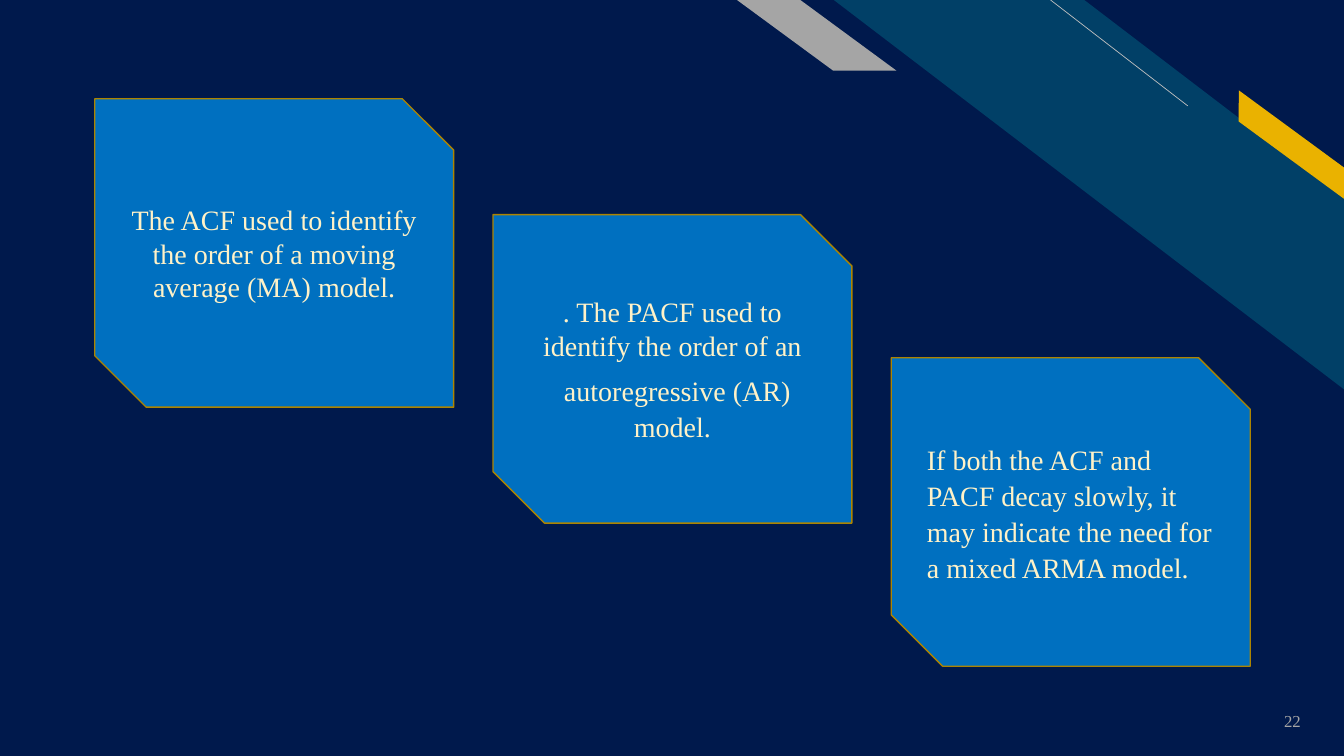
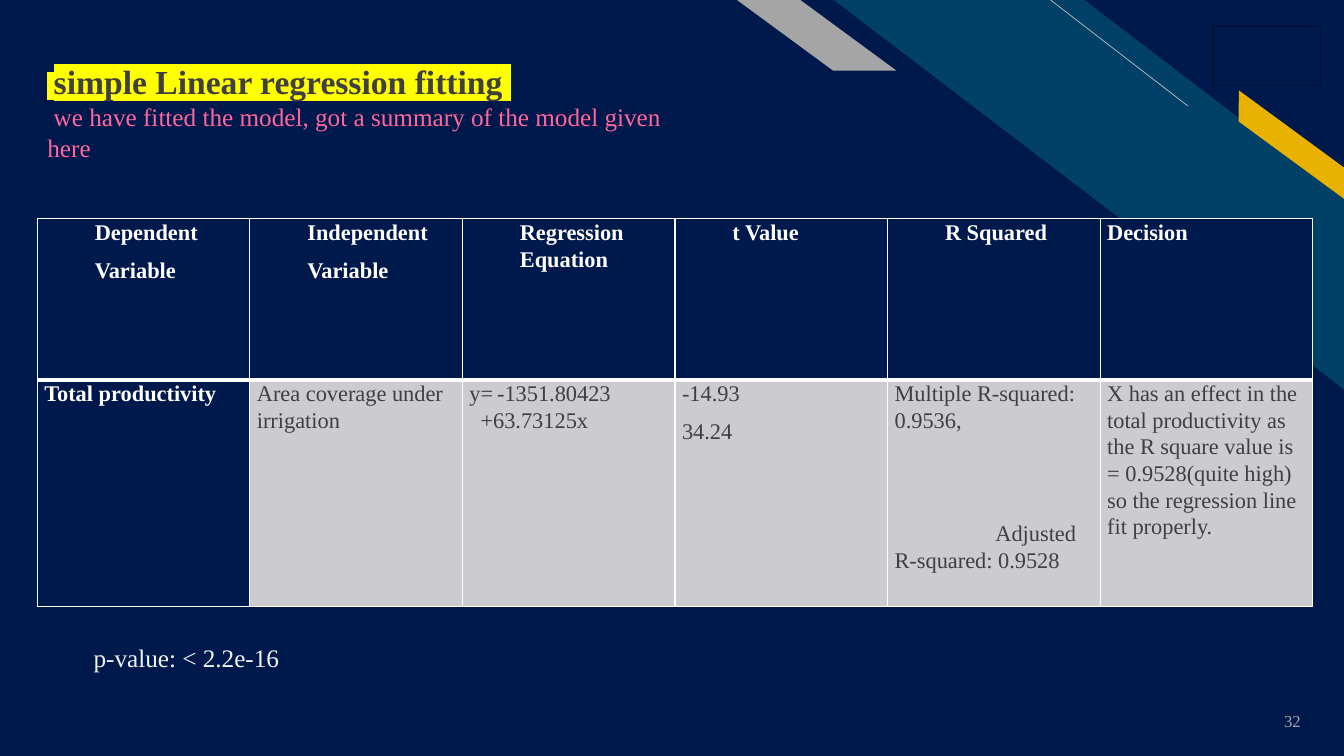
from dataclasses import dataclass
from typing import Optional, Sequence

import lxml.etree
import pptx
import pptx.dml.color
import pptx.enum.shapes
import pptx.enum.text
import pptx.oxml.ns
import pptx.shapes.autoshape
import pptx.slide
import pptx.table
import pptx.text.text
import pptx.util

Inches = pptx.util.Inches
Pt = pptx.util.Pt
RGBColor = pptx.dml.color.RGBColor
Shape = pptx.enum.shapes.MSO_SHAPE
Align = pptx.enum.text.PP_ALIGN
Anchor = pptx.enum.text.MSO_ANCHOR
qn = pptx.oxml.ns.qn

NAVY = RGBColor(0x00, 0x19, 0x4C)
DARK_NAVY = RGBColor(0x00, 0x12, 0x38)
TEAL = RGBColor(0x01, 0x40, 0x67)
GOLD = RGBColor(0xEA, 0xB2, 0x00)
DARK_GOLD = RGBColor(0xAD, 0x84, 0x00)
GRAY = RGBColor(0xA5, 0xA5, 0xA5)
SILVER = RGBColor(0xBF, 0xBF, 0xBF)
PALE_GRAY = RGBColor(0xCC, 0xCC, 0xD0)
CHARCOAL = RGBColor(0x3F, 0x3F, 0x3F)
BLUE = RGBColor(0x00, 0x70, 0xC0)
CREAM = RGBColor(0xFF, 0xF2, 0xC8)
PINK = RGBColor(0xFF, 0x66, 0x99)
YELLOW = RGBColor(0xFF, 0xFF, 0x00)
OFF_WHITE = RGBColor(0xF2, 0xF2, 0xF2)
WHITE = RGBColor(0xFF, 0xFF, 0xFF)

SERIF = "Times New Roman"
CARD_LEFT, CARD_STEP = 0.94, 3.95
CARD_WIDTH, CARD_HEIGHT = 3.56, 3.06


@dataclass(frozen=True)
class Box:
    left: float
    top: float
    width: float
    height: float

    def lengths(self) -> tuple[int, int, int, int]:
        return (Inches(self.left), Inches(self.top), Inches(self.width), Inches(self.height))


@dataclass(frozen=True)
class Run:
    text: str
    size: float
    color: RGBColor
    bold: bool = False
    highlight: Optional[RGBColor] = None


@dataclass(frozen=True)
class Paragraph:
    runs: Sequence[Run]
    align: Align = Align.LEFT
    spacing: float = 1.0
    before: float = 0
    after: float = 0
    margin: float = 0
    indent: float = 0


@dataclass(frozen=True)
class Band:
    preset: Shape
    box: Box
    color: RGBColor
    adjustment: float
    rotation: float = 0


@dataclass(frozen=True)
class Card:
    top: float
    paragraphs: Sequence[Paragraph]


@dataclass(frozen=True)
class Entry:
    paragraphs: Sequence[Paragraph]
    fill: RGBColor


BANDS = [
    Band(Shape.DIAGONAL_STRIPE, Box(8.27, 0, 5.07, 3.87), TEAL, 0.51),
    Band(Shape.PARALLELOGRAM, Box(12.07, 1.31, 1.48, 0.25), GOLD, 0.72, 36.3),
    Band(Shape.PARALLELOGRAM, Box(7.31, 0, 1.58, 0.7), GRAY, 1.36),
]


def card_run(text: str, size: float = 20) -> Run:
    return Run(text, size, CREAM)


CARDS = [
    Card(0.98, [Paragraph([card_run(
        "The ACF used to identify the order of a moving average (MA) model.")], Align.CENTER)]),
    Card(2.13, [
        Paragraph([card_run(". The PACF used to identify the order of an")], Align.CENTER),
        Paragraph([card_run(" ", 28), card_run("autoregressive (AR) model.")], Align.CENTER),
    ]),
    Card(3.55, [Paragraph([card_run(
        "If both the ACF and PACF decay slowly, it may indicate the need for a mixed ARMA model.")],
        spacing=1.07, after=8)]),
]


def heading(*lines: str, margin: float = 0) -> Entry:
    return Entry([Paragraph([Run(line, 16, WHITE, True)], spacing=1.07, after=8, margin=margin)
                  for line in lines], NAVY)


def value_line(*texts: str, before: float = 0, margin: float = 0, indent: float = 0) -> Paragraph:
    runs = [Run(text, 11 if text == " " else 16, CHARCOAL) for text in texts]
    return Paragraph(runs, spacing=1.07, before=before, after=8, margin=margin, indent=indent)


def values(*lines: Paragraph) -> Entry:
    return Entry(lines, PALE_GRAY)


REGRESSION = [
    [
        heading("Dependent", "Variable", margin=0.5),
        heading("Independent", "Variable", margin=0.5),
        heading("Regression Equation", margin=0.5),
        heading("t Value", margin=0.5),
        heading("R Squared", margin=0.5),
        heading("Decision"),
    ],
    [
        heading("Total productivity"),
        values(value_line("Area coverage under irrigation")),
        values(value_line("y=", " ", "-1351.80423 +63.73125x", margin=0.11, indent=-0.11)),
        values(value_line("-14.93"), value_line("34.24")),
        values(value_line("Multiple R-squared: 0.9536,"),
               value_line("Adjusted R-squared: 0.9528", before=54, indent=1)),
        values(value_line("X has an effect in the total productivity as the R square value is "
                          "= 0.9528(quite high) so the regression line fit properly.")),
    ],
]


def add_color(parent: lxml.etree._Element, color: RGBColor) -> None:
    lxml.etree.SubElement(parent, qn("a:srgbClr")).set("val", str(color))


def write(frame: pptx.text.text.TextFrame, paragraphs: Sequence[Paragraph],
          anchor: Anchor = Anchor.TOP) -> None:
    frame.word_wrap = True
    frame.auto_size = pptx.enum.text.MSO_AUTO_SIZE.NONE
    frame.vertical_anchor = anchor
    for index, content in enumerate(paragraphs):
        line = frame.add_paragraph() if index else frame.paragraphs[0]
        properties = line._p.get_or_add_pPr()
        properties.set("marL", str(Inches(content.margin)))
        properties.set("indent", str(Inches(content.indent)))
        lxml.etree.SubElement(properties, qn("a:buNone"))
        line.alignment = content.align
        line.line_spacing = content.spacing
        line.space_before = Pt(content.before)
        line.space_after = Pt(content.after)
        for part in content.runs:
            run = line.add_run()
            run.text = part.text
            run.font.size = Pt(part.size)
            run.font.bold = part.bold
            run.font.color.rgb = part.color
            run.font.name = SERIF
            if part.highlight is not None:
                highlight = lxml.etree.Element(qn("a:highlight"))
                add_color(highlight, part.highlight)
                run._r.rPr.find(qn("a:latin")).addprevious(highlight)


def add_label(slide: pptx.slide.Slide, box: Box, paragraph: Paragraph,
              anchor: Anchor = Anchor.TOP) -> None:
    label = slide.shapes.add_textbox(*box.lengths())
    write(label.text_frame, [paragraph], anchor)


def add_panel(slide: pptx.slide.Slide, preset: Shape, box: Box, fill: RGBColor,
              outline: Optional[RGBColor] = None) -> pptx.shapes.autoshape.Shape:
    panel = slide.shapes.add_shape(preset, *box.lengths())
    panel.shadow.inherit = False
    panel.fill.solid()
    panel.fill.fore_color.rgb = fill
    if outline is None:
        panel.line.fill.background()
    else:
        panel.line.color.rgb = outline
        panel.line.width = Pt(1)
    return panel


def add_decoration(slide: pptx.slide.Slide, number: str) -> None:
    for band in BANDS:
        stripe = add_panel(slide, band.preset, band.box, band.color)
        stripe.adjustments[0] = band.adjustment
        stripe.rotation = band.rotation
        stripe._element.spPr.find(qn("a:xfrm")).set("flipH", "1")
    hairline = slide.shapes.add_connector(
        pptx.enum.shapes.MSO_CONNECTOR.STRAIGHT,
        Inches(11.78), Inches(1.05), Inches(10.42), Inches(0))
    hairline.line.color.rgb = SILVER
    hairline.line.width = Pt(0.5)
    lxml.etree.SubElement(hairline._element.spPr, qn("a:effectLst"))
    add_label(slide, Box(12.19, 6.95, 0.81, 0.4),
              Paragraph([Run(number, 12, GRAY)], Align.RIGHT), Anchor.MIDDLE)


def add_border(cell: pptx.table._Cell, side: str, width: float) -> None:
    border = lxml.etree.SubElement(cell._tc.get_or_add_tcPr(), qn(f"a:ln{side}"))
    border.set("w", str(Pt(width)))
    add_color(lxml.etree.SubElement(border, qn("a:solidFill")), WHITE)


def add_regression_table(slide: pptx.slide.Slide) -> None:
    table = slide.shapes.add_table(
        len(REGRESSION), len(REGRESSION[0]), *Box(0.37, 2.17, 12.65, 3.85).lengths()).table
    table.first_row = False
    table.horz_banding = False
    for row, height in zip(table.rows, (1.6, 2.25)):
        row.height = Inches(height)
    for row_index, entries in enumerate(REGRESSION):
        for column_index, entry in enumerate(entries):
            cell = table.cell(row_index, column_index)
            cell.margin_left = cell.margin_right = Inches(0.07)
            cell.margin_top = cell.margin_bottom = 0
            write(cell.text_frame, entry.paragraphs)
            divider = "B" if row_index == 0 else "T"
            for side in "LRTB":
                add_border(cell, side, 3 if side == divider else 1)
            cell.fill.solid()
            cell.fill.fore_color.rgb = entry.fill


def build_model_choice(deck: pptx.presentation.Presentation) -> None:
    slide = deck.slides.add_slide(deck.slide_layouts[6])
    add_decoration(slide, "22")
    for index, card in enumerate(CARDS):
        box = Box(CARD_LEFT + index * CARD_STEP, card.top, CARD_WIDTH, CARD_HEIGHT)
        panel = add_panel(slide, Shape.SNIP_2_DIAG_RECTANGLE, box, BLUE, DARK_GOLD)
        write(panel.text_frame, card.paragraphs, Anchor.MIDDLE)


def build_regression(deck: pptx.presentation.Presentation) -> None:
    slide = deck.slides.add_slide(deck.slide_layouts[1])
    add_decoration(slide, "32")
    title, summary = slide.shapes.title, slide.placeholders[1]
    title.left, title.top, title.width, title.height = Box(0.37, 0.55, 6.67, 0.48).lengths()
    write(title.text_frame, [Paragraph([
        Run(" ", 18, PINK, highlight=YELLOW),
        Run("simple Linear regression fitting ", 24, CHARCOAL, True, YELLOW),
    ])])
    summary.left, summary.top, summary.width, summary.height = Box(0.37, 0.96, 6.67, 0.7).lengths()
    write(summary.text_frame, [Paragraph([
        Run(" we have fitted the model, got a summary of the model given here", 18, PINK)])])
    add_regression_table(slide)
    add_panel(slide, Shape.RECTANGLE, Box(12.03, 0.26, 1.07, 0.59), NAVY, DARK_NAVY)
    add_label(slide, Box(0.83, 6.32, 6.68, 0.4),
              Paragraph([Run("p-value: < 2.2e-16", 18, OFF_WHITE)]))


def main() -> None:
    deck = pptx.Presentation()
    deck.slide_width, deck.slide_height = Inches(13.33), Inches(7.5)
    backdrop = deck.slide_master.background.fill
    backdrop.solid()
    backdrop.fore_color.rgb = NAVY
    build_model_choice(deck)
    build_regression(deck)
    deck.save("out.pptx")


if __name__ == "__main__":
    main()
